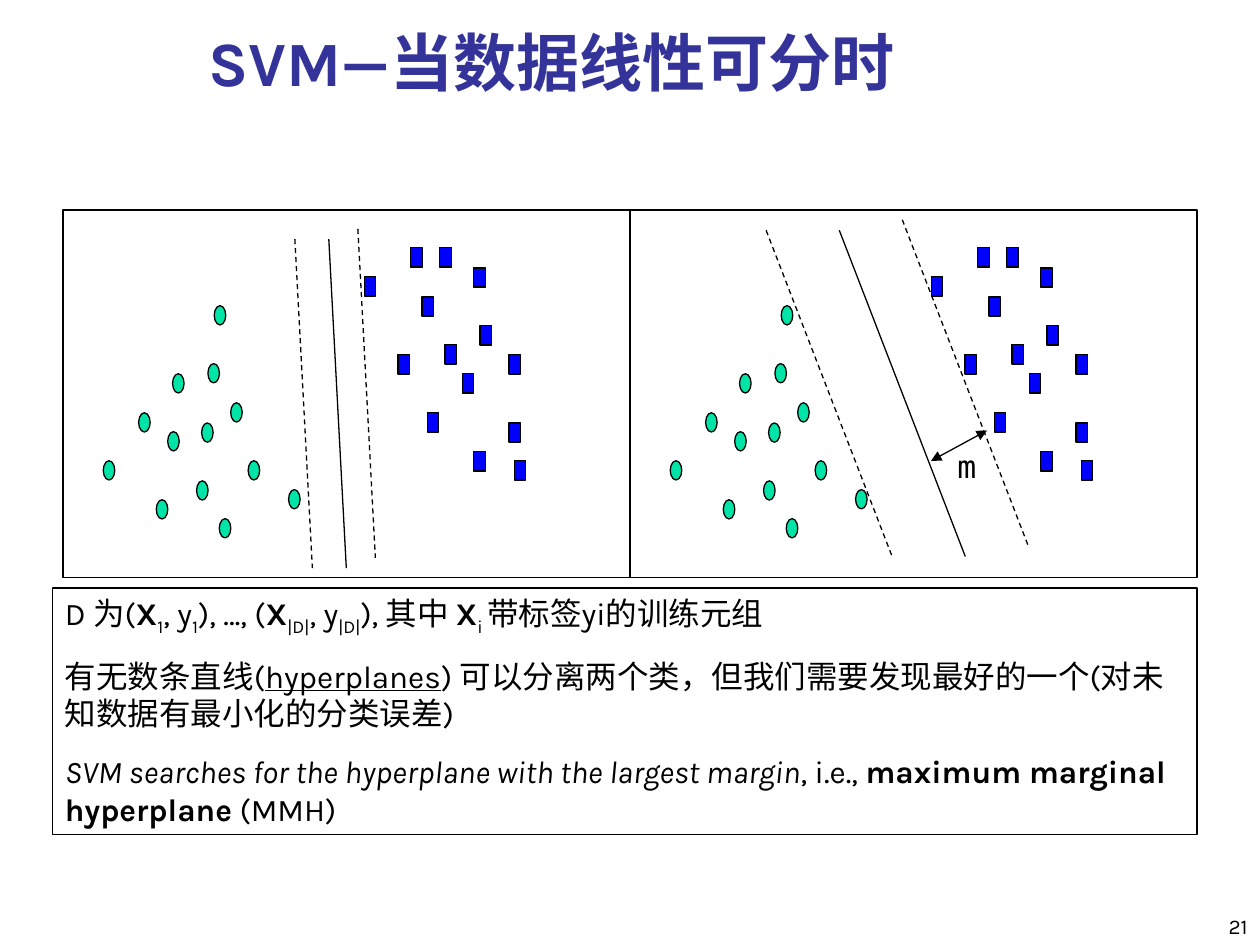
from dataclasses import dataclass
from lxml.etree import SubElement
from pptx import Presentation
from pptx.dml.color import RGBColor
from pptx.enum.dml import MSO_LINE
from pptx.enum.shapes import MSO_CONNECTOR, MSO_SHAPE
from pptx.enum.text import MSO_ANCHOR, PP_ALIGN
from pptx.oxml.ns import qn
from pptx.util import Pt


@dataclass(frozen=True)
class Theme:
    """Colours, fonts and type sizes of the slide."""
    ink: RGBColor = RGBColor(0, 0, 0)
    title: RGBColor = RGBColor(0x33, 0x33, 0x99)
    green: RGBColor = RGBColor(0, 0xE4, 0xA8)
    blue: RGBColor = RGBColor(0, 0, 0xFF)
    font: str = "Karla"
    mono: str = "DejaVu Sans Mono"
    title_size: float = 36
    body_size: float = 18
    note_size: float = 12
    line: float = 0.75
    space: float = 11.2


T = Theme()
MARK = (6.6, 11)
CIRCLES = [(53.3, 165.6), (59.8, 126.7), (23, 143.3), (43.2, 115.9), (76.3, 154.8),
           (62.6, 93.6), (79.2, 121.7), (82.8, 87.8), (95.8, 110.2), (105.8, 143.3),
           (89.3, 176.4), (128.9, 159.8), (86.4, 54.7)]
SQUARES = [(191.5, 82.8), (172.1, 38.2), (198.7, 21.6), (208.1, 115.9), (205.2, 49.7),
           (218.2, 77), (215.3, 21.6), (234.7, 33.1), (228.2, 93.6), (238.3, 66.2),
           (234.7, 138.2), (254.9, 82.8), (254.9, 121.7), (257.8, 143.3)]
NARROW = {"run": (10, 188), "margins": [(168.5, 10.8), (132.5, 16.6)], "middle": (151.9, 16.6)}
WIDE = {"run": (72, 186.4), "margins": [(77.8, 11.6), (155.6, 5.6)], "middle": (119.6, 11.6)}
BODY = [
    [("D 为(", ""), ("X", "b"), ("1", "s"), (", y", ""), ("1", "s"), ("), …, (", ""),
     ("X", "b"), ("|D|", "s"), (", y", ""), ("|D|", "s"), ("), 其中 ", ""), ("X", "b"),
     ("i ", "s"), ("带标签yi的训练元组", "")],
    [("有无数条直线(", ""), ("hyperplanes", "u"),
     (") 可以分离两个类，但我们需要发现最好的一个(对未知数据有最小化的分类误差)", "")],
    [("SVM searches for the hyperplane with the largest margin", "i"), (", i.e., ", ""),
     ("maximum marginal hyperplane", "b"), (" (MMH)", "")],
]


def add_box(shapes, kind, x, y, w, h, fill=None):
    """Add an outlined preset shape, hollow unless a fill is given."""
    sp = shapes.add_shape(kind, Pt(x), Pt(y), Pt(w), Pt(h))
    sp.shadow.inherit = False
    sp.line.color.rgb = T.ink
    sp.line.width = Pt(T.line)
    if fill is None:
        sp.fill.background()
    else:
        sp.fill.solid()
        sp.fill.fore_color.rgb = fill
    return sp


def add_line(shapes, x1, y1, x2, y2, dashed=False):
    """Add a straight line, optionally dashed."""
    cn = shapes.add_connector(MSO_CONNECTOR.STRAIGHT, Pt(x1), Pt(y1), Pt(x2), Pt(y2))
    cn.line.color.rgb = T.ink
    cn.line.width = Pt(T.line)
    if dashed:
        cn.line.dash_style = MSO_LINE.DASH
    SubElement(cn._element.spPr, qn("a:effectLst"))
    return cn


def style_font(font, size, color=T.ink, name=T.font, bold=False):
    """Apply typeface, size, colour and weight."""
    font.name, font.size, font.bold = name, Pt(size), bold
    font.color.rgb = color


def add_label(shapes, box, text, size, align=PP_ALIGN.LEFT, anchor=MSO_ANCHOR.TOP, **font):
    """Add a text box holding one run."""
    tf = shapes.add_textbox(*map(Pt, box)).text_frame
    tf.word_wrap = True
    tf.vertical_anchor = anchor
    tf.text = text
    p = tf.paragraphs[0]
    p.alignment = align
    style_font(p.runs[0].font, size, **font)


def add_panel(s, box, lines):
    """Draw both classes of points and the separating lines in a frame."""
    x, y, w, h = box
    shapes = s.shapes.add_group_shape().shapes
    for kind, points, fill in ((MSO_SHAPE.OVAL, CIRCLES, T.green),
                               (MSO_SHAPE.RECTANGLE, SQUARES, T.blue)):
        for dx, dy in points:
            add_box(shapes, kind, x + dx, y + dy, *MARK, fill)
    add_box(shapes, MSO_SHAPE.RECTANGLE, x, y, w, h)
    run_x, run_y = lines["run"]
    for dx, dy in [*lines["margins"], lines["middle"]]:
        add_line(shapes, x + dx, y + dy, x + dx + run_x, y + dy + run_y,
                 (dx, dy) != lines["middle"])


def add_margin(s, box):
    """Mark the margin with a double arrow and its letter."""
    x, y, _, _ = box
    cn = add_line(s.shapes, x + 172, y + 143.4, x + 204, y + 126)
    ln = cn.line._get_or_add_ln()
    for end in ("a:headEnd", "a:tailEnd"):
        SubElement(ln, qn(end), type="triangle")
    add_label(s.shapes, (x + 180, y + 132, 42, 28.8), "m", T.body_size, name=T.mono)


def add_body(s, box):
    """Write the explanation in an outlined box."""
    tf = add_box(s.shapes, MSO_SHAPE.RECTANGLE, *box).text_frame
    tf.word_wrap = True
    tf.vertical_anchor = MSO_ANCHOR.TOP
    for i, runs in enumerate(BODY):
        p = tf.add_paragraph() if i else tf.paragraphs[0]
        p.alignment = PP_ALIGN.LEFT
        p.space_before = Pt(T.space if i else 0)
        for text, style in runs:
            r = p.add_run()
            r.text = text
            style_font(r.font, T.body_size, bold=style == "b")
            r.font.italic = style == "i"
            r.font.underline = style == "u"
            if style == "s":
                r.font._element.set("baseline", "-25000")


def main():
    """Build and save the slide."""
    prs = Presentation()
    prs.slide_width, prs.slide_height = Pt(720), Pt(540)
    s = prs.slides.add_slide(prs.slide_layouts[6])
    add_label(s.shapes, (570, 510, 150, 30), "21", T.note_size,
              PP_ALIGN.RIGHT, MSO_ANCHOR.BOTTOM)
    add_label(s.shapes, (42, 12, 546, 48), "SVM—当数据线性可分时", T.title_size,
              PP_ALIGN.CENTER, MSO_ANCHOR.BOTTOM, color=T.title, bold=True)
    left, right = [(36 + 324 * i, 120, 324, 210) for i in range(2)]
    add_panel(s, left, NARROW)
    add_panel(s, right, WIDE)
    add_margin(s, right)
    add_body(s, (30, 336, 654, 141))
    prs.save("out.pptx")


if __name__ == "__main__":
    main()
